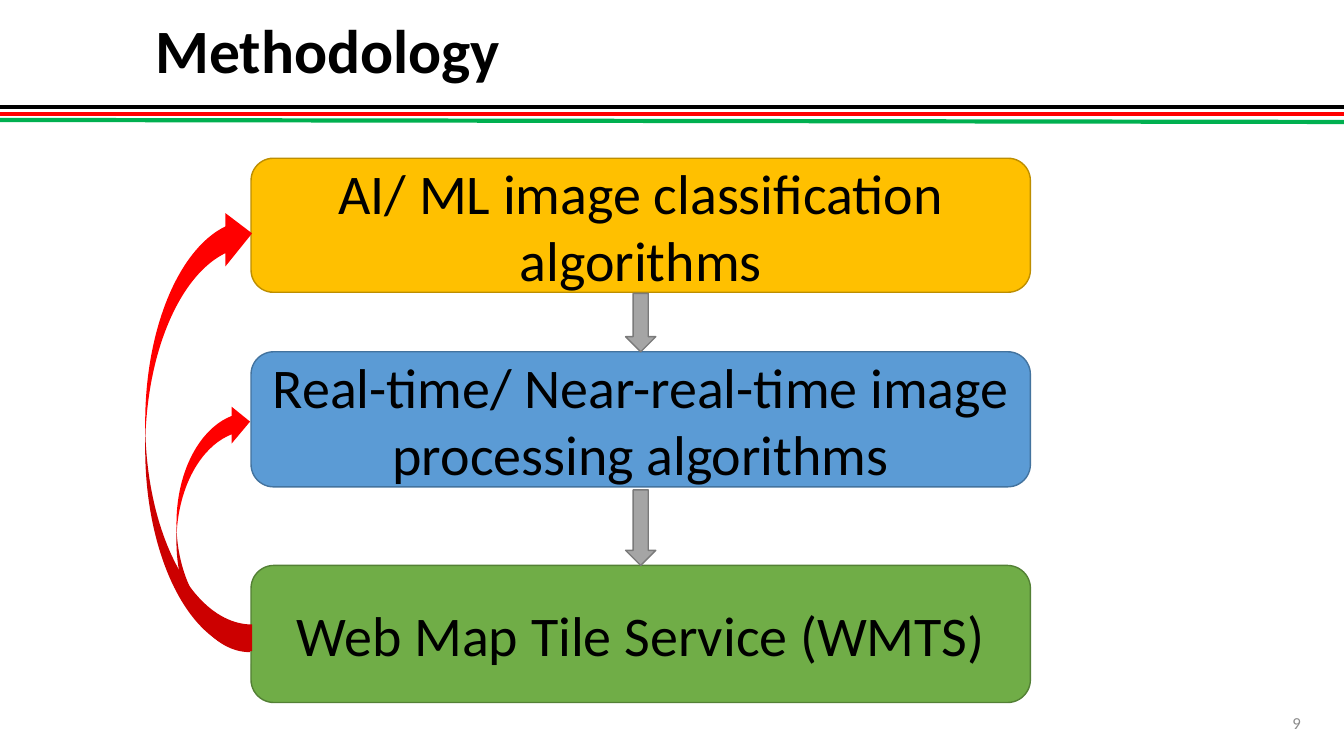
from lxml.etree import SubElement
from pptx import Presentation
from pptx.dml.color import RGBColor
from pptx.enum.shapes import MSO_CONNECTOR as Connector, MSO_SHAPE as Shape
from pptx.enum.text import MSO_ANCHOR as Anchor, PP_ALIGN as Align
from pptx.oxml.ns import qn
from pptx.util import Inches, Pt

COLORS = {
    "black": "000000", "red": "FF0000", "green": "00B050", "number": "8C8C8C",
    "amber": "FFC000", "amber_edge": "BD8E00",
    "blue": "5B9BD5", "blue_edge": "43739E",
    "leaf": "70AD47", "leaf_edge": "538035",
    "gray": "A5A5A5", "gray_edge": "7A7A7A",
}
STRIPES = [("black", 1.06, 1.06), ("red", 1.13, 1.13), ("green", 1.19, 1.21)]
STEPS = [
    ("AI/ ML image classification algorithms", "amber", 1.57, 1.33),
    ("Real-time/ Near-real-time image processing algorithms", "blue", 3.49, 1.34),
    ("Web Map Tile Service (WMTS)", "leaf", 5.61, 1.36),
]
DOWN_ARROWS = [(2.91, 0.58), (4.86, 0.75)]
FEEDBACK_ARROWS = [(1.44, 2.05, 1.06, 4.41), (1.75, 4, 0.73, 2.47)]


def rgb(name):
    """Return the named palette colour."""
    return RGBColor.from_string(COLORS[name])


def write(frame, text, size, align, color="black", bold=False):
    """Put one formatted run into a vertically centred text frame."""
    frame.word_wrap = True
    frame.vertical_anchor = Anchor.MIDDLE
    para = frame.paragraphs[0]
    para.alignment = align
    span = para.add_run()
    span.text = text
    span.font.name = "Calibri"
    span.font.size = Pt(size)
    span.font.bold = bold
    span.font.color.rgb = rgb(color)
    return para


def add_block(page, kind, box, fill, edge=None):
    """Draw a filled preset shape in the given box, outlined if an edge is named."""
    block = page.shapes.add_shape(kind, *map(Inches, box))
    block.shadow.inherit = False
    block.fill.solid()
    block.fill.fore_color.rgb = rgb(fill)
    if edge:
        block.line.color.rgb = rgb(edge)
        block.line.width = Pt(1)
    else:
        block.line.fill.background()
    return block


def add_header(page, left, top, width, height):
    """Place the title and the three stripes across the page."""
    for color, start, end in STRIPES:
        stripe = page.shapes.add_connector(
            Connector.STRAIGHT, 0, Inches(start), Inches(13.33), Inches(end))
        stripe.line.color.rgb = rgb(color)
        stripe.line.width = Pt(3)
        SubElement(stripe.element.spPr, qn("a:effectLst"))
    title = page.shapes.title
    title.left, title.top = Inches(left), Inches(top)
    title.width, title.height = Inches(width), Inches(height)
    para = write(title.text_frame, "Methodology", 44, Align.LEFT, bold=True)
    para.line_spacing = 0.9


def add_flow(page, left, width):
    """Stack the steps in a column and join them with down arrows."""
    for text, color, top, height in STEPS:
        step = add_block(page, Shape.ROUNDED_RECTANGLE,
                         (left, top, width, height), color, f"{color}_edge")
        write(step.text_frame, text, 40, Align.CENTER)
    arrow_width = 0.3
    arrow_left = left + (width - arrow_width) / 2
    for top, height in DOWN_ARROWS:
        add_block(page, Shape.DOWN_ARROW,
                  (arrow_left, top, arrow_width, height), "gray", "gray_edge")


def add_feedback(page):
    """Draw the curved arrows leading back up from the last step."""
    for box in FEEDBACK_ARROWS:
        arrow = add_block(page, Shape.CURVED_LEFT_ARROW, box, "red")
        arrow.rotation = 180


def add_page_number(page, left, top, width, height):
    """Write the page number in the given box."""
    box = page.shapes.add_textbox(*map(Inches, (left, top, width, height)))
    write(box.text_frame, "9", 12, Align.RIGHT, "number")


def main():
    """Build and save the deck."""
    deck = Presentation()
    deck.slide_width, deck.slide_height = Inches(13.33), Inches(7.5)
    page = deck.slides.add_slide(deck.slide_layouts[5])
    add_header(page, 1.44, 0.07, 9.89, 0.92)
    add_page_number(page, 12.36, 6.97, 0.64, 0.4)
    add_flow(page, 2.49, 7.73)
    add_feedback(page)
    deck.save("out.pptx")


if __name__ == "__main__":
    main()
